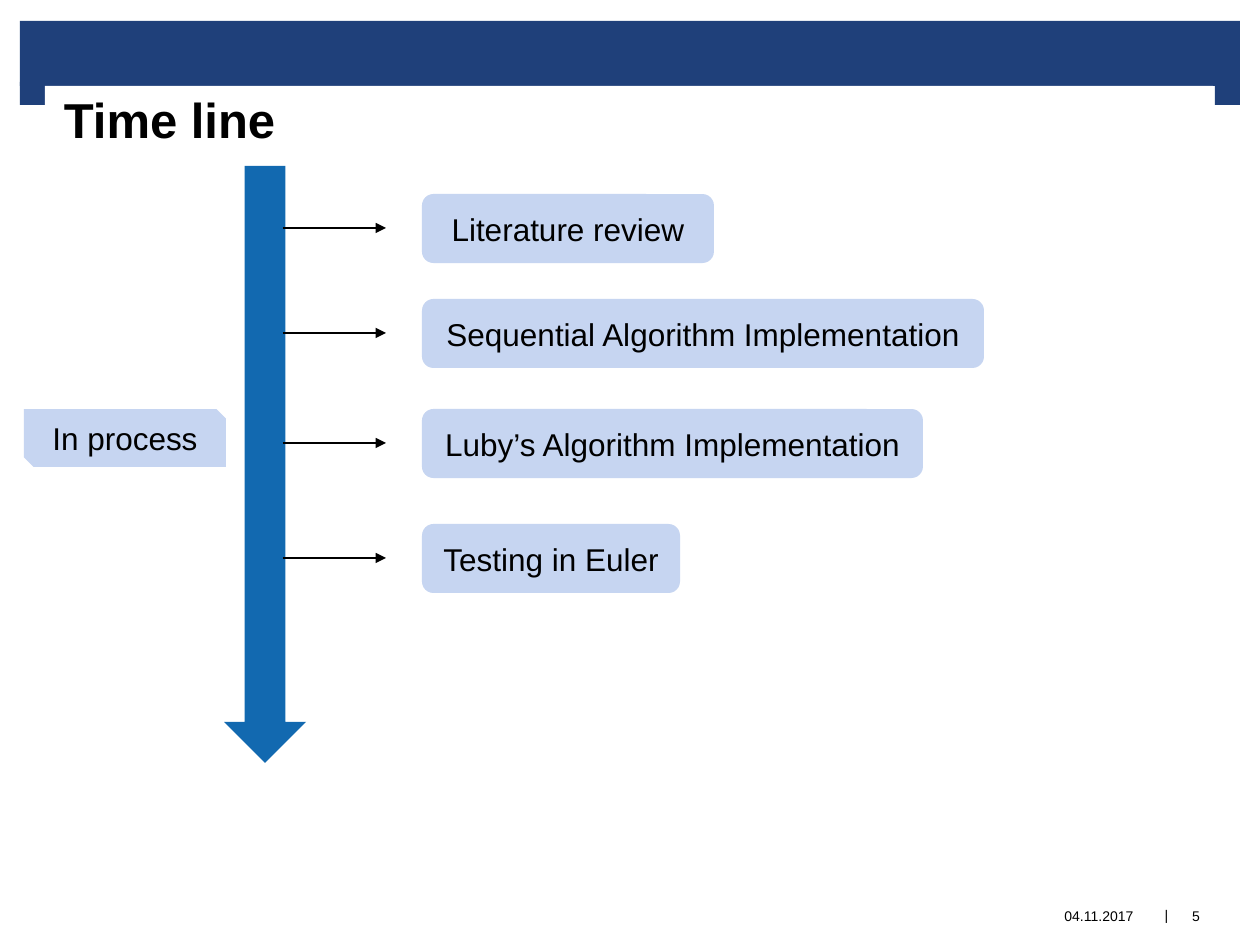
from pptx import Presentation
from pptx.dml.color import RGBColor
from pptx.enum.shapes import MSO_CONNECTOR, MSO_SHAPE
from pptx.enum.text import MSO_ANCHOR, PP_ALIGN
from pptx.oxml.ns import qn
from pptx.util import Pt
from lxml import etree

PX = 914400 / 126
FONT = "Arial"

NAVY = RGBColor(0x1F, 0x40, 0x7A)
BLUE = RGBColor(0x12, 0x69, 0xB0)
PALE_BLUE = RGBColor(0xC6, 0xD5, 0xF1)
WHITE = RGBColor(0xFF, 0xFF, 0xFF)
BLACK = RGBColor(0, 0, 0)

RECT = MSO_SHAPE.RECTANGLE
ROUNDED = MSO_SHAPE.ROUNDED_RECTANGLE
SNIPPED = MSO_SHAPE.SNIP_2_DIAG_RECTANGLE
DOWN_ARROW = MSO_SHAPE.DOWN_ARROW
STRAIGHT = MSO_CONNECTOR.STRAIGHT
LEFT, CENTER, RIGHT = PP_ALIGN.LEFT, PP_ALIGN.CENTER, PP_ALIGN.RIGHT
MIDDLE, BOTTOM = MSO_ANCHOR.MIDDLE, MSO_ANCHOR.BOTTOM


def emu(*lengths):
    return [round(length * PX) for length in lengths]


class SlideBuilder:
    def __init__(self, slide):
        self.shapes = slide.shapes

    def shape(self, kind, box, fill):
        shape = self.shapes.add_shape(kind, *emu(*box))
        shape.shadow.inherit = False
        shape.fill.solid()
        shape.fill.fore_color.rgb = fill
        shape.line.fill.background()
        return shape

    def set_text(self, shape, text, size, align=CENTER, anchor=MIDDLE,
                 insets=(13, 6, 13, 6), bold=False, wrap=True):
        frame = shape.text_frame
        frame.text = text
        frame.word_wrap = wrap
        frame.vertical_anchor = anchor
        (frame.margin_left, frame.margin_top,
         frame.margin_right, frame.margin_bottom) = emu(*insets)
        paragraph = frame.paragraphs[0]
        paragraph.alignment = align
        font = paragraph.runs[0].font
        font.name, font.size, font.bold = FONT, Pt(size), bold
        font.color.rgb = BLACK

    def label(self, kind, box, text):
        self.set_text(self.shape(kind, box, PALE_BLUE), text, 18)

    def footer(self, box, text, **style):
        self.set_text(self.shapes.add_textbox(*emu(*box)), text, 8, **style)

    def arrow(self, x1, x2, y):
        arrow = self.shapes.add_connector(STRAIGHT, *emu(x1, y, x2, y))
        arrow.line.color.rgb = BLACK
        arrow.line.width = Pt(1.5)
        properties = arrow._element.spPr
        line = properties.find(qn("a:ln"))
        etree.SubElement(line, qn("a:tailEnd"), type="triangle")
        etree.SubElement(properties, qn("a:effectLst"))


def main():
    deck = Presentation()
    deck.slide_width, deck.slide_height = emu(1260, 945)
    builder = SlideBuilder(deck.slides.add_slide(deck.slide_layouts[6]))

    # Banner with a tab at each end
    builder.shape(RECT, (20, 21, 1220, 65), NAVY)
    for tab_left in (20, 1215):
        builder.shape(RECT, (tab_left, 82, 25, 23), NAVY)

    # Footer
    builder.footer((1033, 901, 132, 30), "04.11.2017")
    builder.footer((1164, 901, 49, 30), "5", align=RIGHT)
    builder.footer((1157, 883, 19, 64), "|", insets=(5, 6, 5, 6), wrap=False)

    # Title
    title = builder.shape(RECT, (45, 86, 1168, 62), WHITE)
    builder.set_text(title, "Time line", 28, align=LEFT, anchor=BOTTOM,
                     insets=(19, 0, 20, 0), bold=True)

    # Time axis
    builder.shape(DOWN_ARROW, (224, 166, 82, 597), BLUE)

    # Steps, each with an arrow from the axis
    steps = [
        ("Literature review", 194, 292),
        ("Sequential Algorithm Implementation", 299, 562),
        ("Luby’s Algorithm Implementation", 409, 501),
        ("Testing in Euler", 524, 258),
    ]
    for step, top, width in steps:
        builder.arrow(283, 386, top + 34)
        builder.label(ROUNDED, (422, top, width, 69), step)

    # Current status
    builder.label(SNIPPED, (24, 409, 202, 58), "In process")

    deck.save("out.pptx")


if __name__ == "__main__":
    main()
